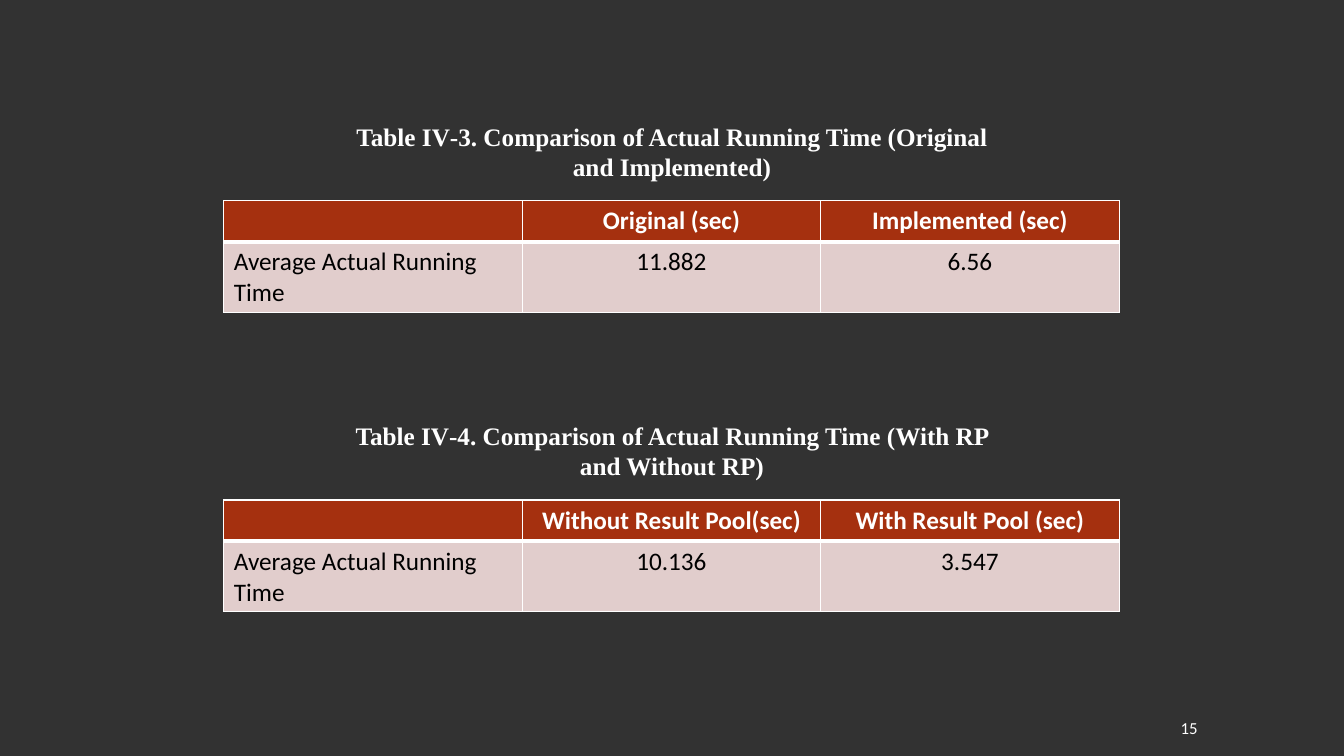
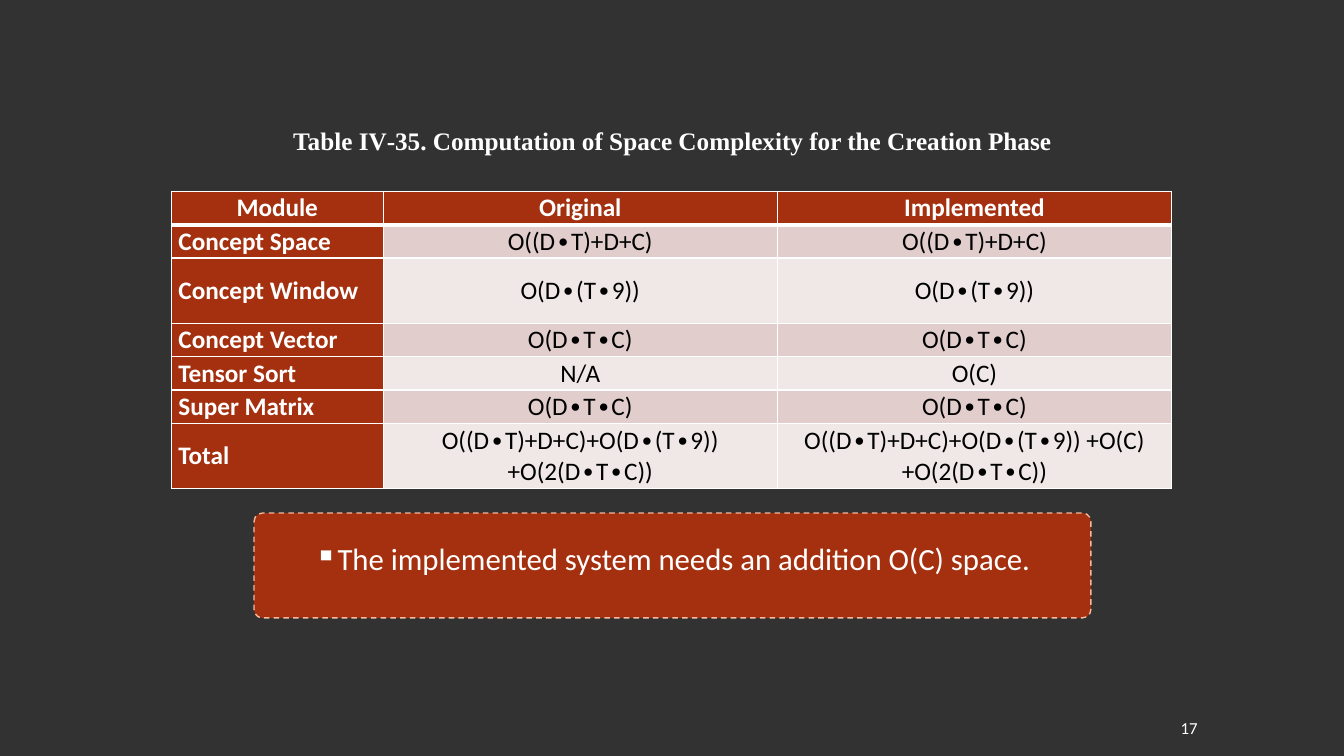
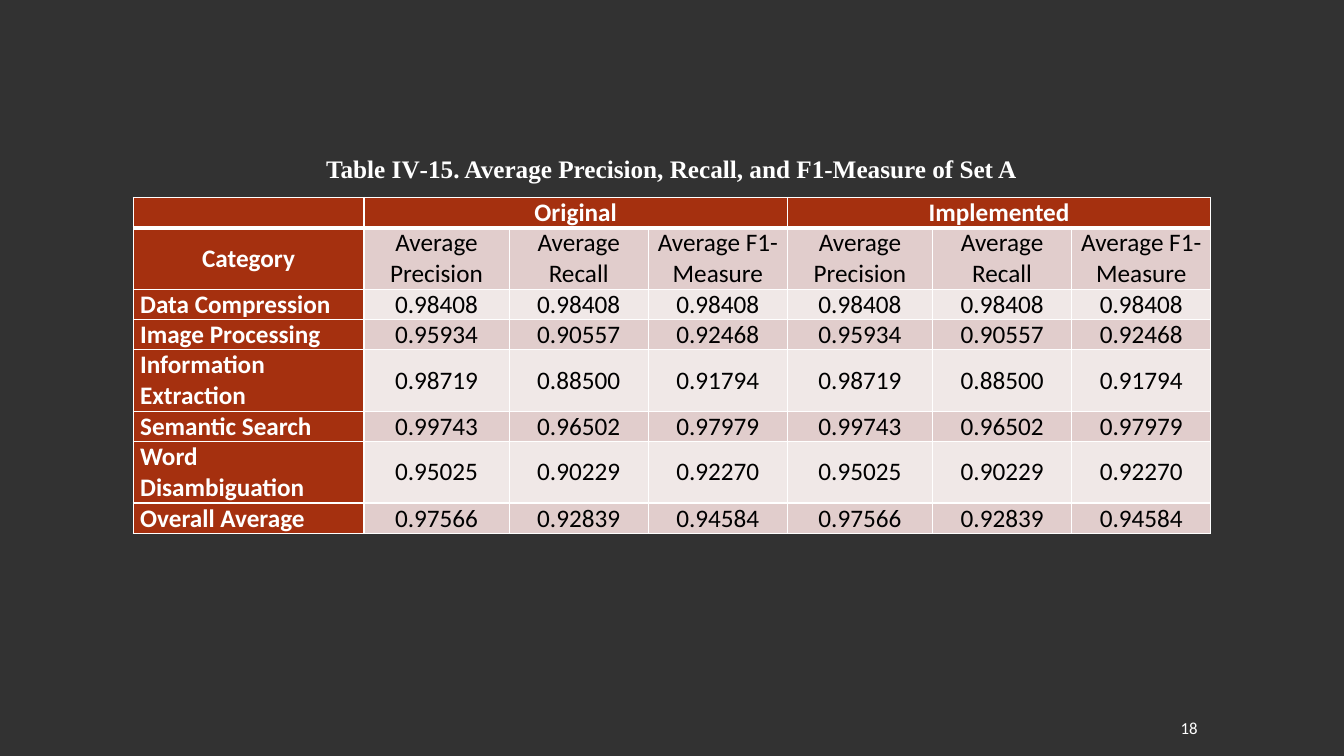
"""Build three slides of result tables on a dark background."""
from lxml.etree import SubElement
from pptx import Presentation
from pptx.dml.color import RGBColor
from pptx.enum.dml import MSO_LINE
from pptx.enum.shapes import MSO_SHAPE
from pptx.enum.text import MSO_ANCHOR, MSO_AUTO_SIZE, PP_ALIGN
from pptx.oxml.ns import qn
from pptx.util import Inches, Pt

DARK, WHITE, BLACK = "323232", "FFFFFF", "000000"
RUST, PEACH = "A5300F", "F5BA9B"
BANDS = ["E1CDCC", "F0E8E7"]
BODY, SERIF = "Calibri", "Times New Roman"

ROOMY = {"inset": (0.1, 0.05), "anchor": MSO_ANCHOR.TOP, "labels": False}
TIGHT = {"inset": (0.07, 0), "anchor": MSO_ANCHOR.MIDDLE, "labels": True}

MEASURES = ["Average Precision", "Average Recall", "Average F1-Measure"]
SCORES = [
    ("Data Compression", ["0.98408", "0.98408", "0.98408"]),
    ("Image Processing", ["0.95934", "0.90557", "0.92468"]),
    ("Information Extraction", ["0.98719", "0.88500", "0.91794"]),
    ("Semantic Search", ["0.99743", "0.96502", "0.97979"]),
    ("Word Disambiguation", ["0.95025", "0.90229", "0.92270"]),
    ("Overall Average", ["0.97566", "0.92839", "0.94584"]),
]

SLIDES = [
    {"page": "15", "tables": [
        {"title": "Table IV‑3. Comparison of Actual Running Time (Original and Implemented)",
         "box": (3.33, 1.15, 6.67, 0.71), "at": (2.22, 1.99),
         "cols": [2.96] * 3, "rows": [0.41, 0.7], "heads": 1, "look": ROOMY,
         "cells": [["", "Original (sec)", "Implemented (sec)"],
                   ["Average Actual Running Time", "11.882", "6.56"]]},
        {"title": "Table IV‑4. Comparison of Actual Running Time (With RP and Without RP)",
         "box": (3.33, 4.12, 6.67, 0.71), "at": (2.22, 4.96),
         "cols": [2.96] * 3, "rows": [0.41, 0.7], "heads": 1, "look": ROOMY,
         "cells": [["", "Without Result Pool(sec)", "With Result Pool (sec)"],
                   ["Average Actual Running Time", "10.136", "3.547"]]},
    ]},
    {"page": "17", "tables": [
        {"title": "Table IV‑35. Computation of Space Complexity for the Creation Phase",
         "box": (2.74, 1.19, 7.86, 0.4), "at": (1.7, 1.9),
         "cols": [2.1, 3.91, 3.91], "rows": [0.33, 0.33, 0.65, 0.33, 0.33, 0.33, 0.65],
         "heads": 1, "look": TIGHT,
         "cells": [["Module", "Original", "Implemented"],
                   ["Concept Space", "O((D∙T)+D+C)", "O((D∙T)+D+C)"],
                   ["Concept Window", "O(D∙(T∙9))", "O(D∙(T∙9))"],
                   ["Concept Vector", "O(D∙T∙C)", "O(D∙T∙C)"],
                   ["Tensor Sort", "N/A", "O(C)"],
                   ["Super Matrix", "O(D∙T∙C)", "O(D∙T∙C)"],
                   ["Total", "O((D∙T)+D+C)+O(D∙(T∙9)) +O(2(D∙T∙C))",
                    "O((D∙T)+D+C)+O(D∙(T∙9)) +O(C)+O(2(D∙T∙C))"]]},
    ], "note": "The implemented system needs an addition O(C) space."},
    {"page": "18", "tables": [
        {"title": "Table IV‑15. Average Precision, Recall, and F1-Measure of Set A",
         "box": (2.24, 1.47, 8.84, 0.4), "at": (1.32, 1.96),
         "cols": [2.29] + [1.44, 1.38, 1.38] * 2,
         "rows": [0.3, 0.61, 0.3, 0.3, 0.61, 0.3, 0.61, 0.3],
         "heads": 2, "look": TIGHT, "spans": [(1, 3), (4, 6)],
         "cells": [["", "Original", "", "", "Implemented", "", ""],
                   ["Category"] + MEASURES * 2]
                  + [[name] + marks * 2 for name, marks in SCORES]},
    ]},
]


def rgb(code):
    return RGBColor.from_string(code)


def paint(shape, code):
    shape.fill.solid()
    shape.fill.fore_color.rgb = rgb(code)


def write(frame, text, size, color, face=BODY, bold=False, align=PP_ALIGN.LEFT):
    frame.text = text
    frame.word_wrap = True
    para = frame.paragraphs[0]
    para.alignment = align
    font = para.font
    font.size, font.name, font.bold = Pt(size), face, bold
    font.color.rgb = rgb(color)
    return para


def add_box(slide, box):
    return slide.shapes.add_textbox(*map(Inches, box)).text_frame


def add_title(slide, text, box, first):
    if first:
        title = slide.shapes.title
        title.left, title.top, title.width, title.height = map(Inches, box)
        frame = title.text_frame
    else:
        frame = add_box(slide, box)
    frame.vertical_anchor = MSO_ANCHOR.TOP
    frame.auto_size = MSO_AUTO_SIZE.SHAPE_TO_FIT_TEXT
    write(frame, text, 18, WHITE, SERIF, True, PP_ALIGN.CENTER)


def add_edges(cell, row):
    props = cell._tc.get_or_add_tcPr()
    thick = {"T": 3 if row == 1 else 1, "B": 3 if row == 0 else 1}
    for side in "LRTB":
        line = SubElement(props, qn(f"a:ln{side}"), w=str(Pt(thick.get(side, 1))))
        fill = SubElement(line, qn("a:solidFill"))
        SubElement(fill, qn("a:srgbClr"), val=WHITE)


def add_grid(slide, data):
    cols, rows, look = data["cols"], data["rows"], data["look"]
    size = (*data["at"], sum(cols), sum(rows))
    grid = slide.shapes.add_table(len(rows), len(cols), *map(Inches, size)).table
    grid.first_row = grid.horz_banding = False
    for col, width in zip(grid.columns, cols):
        col.width = Inches(width)
    for row, height in zip(grid.rows, rows):
        row.height = Inches(height)
    side, edge = map(Inches, look["inset"])
    for r, line in enumerate(data["cells"]):
        for c, text in enumerate(line):
            cell = grid.cell(r, c)
            head = r == 0 or (c == 0 and look["labels"])
            mid = c > 0 or r < data["heads"]
            add_edges(cell, r)
            paint(cell, RUST if head else BANDS[(r - 1) % 2])
            cell.margin_left = cell.margin_right = side
            cell.margin_top = cell.margin_bottom = edge
            cell.vertical_anchor = look["anchor"]
            write(cell.text_frame, text, 18, WHITE if head else BLACK, bold=head,
                  align=PP_ALIGN.CENTER if mid else PP_ALIGN.LEFT)
    for start, end in data.get("spans", []):
        grid.cell(0, start).merge(grid.cell(0, end))


def add_note(slide, text):
    panel = slide.shapes.add_shape(MSO_SHAPE.ROUNDED_RECTANGLE,
                                   *map(Inches, (2.52, 5.09, 8.3, 1.04)))
    panel.adjustments[0] = 0.08
    panel.shadow.inherit = False
    paint(panel, RUST)
    panel.line.color.rgb = rgb(PEACH)
    panel.line.width = Pt(1)
    panel.line.dash_style = MSO_LINE.DASH
    para = write(add_box(slide, (2.95, 5.35, 7.44, 0.56)), text, 22, WHITE,
                 align=PP_ALIGN.CENTER)
    para.line_spacing = 0.9
    para.space_before, para.space_after = Pt(12), Pt(2)
    props = para._p.get_or_add_pPr()
    props.set("marL", str(Inches(0.2)))
    props.set("indent", str(Inches(-0.2)))
    bullet = props.makeelement(qn("a:buChar"), {"char": "▪"})
    props.find(qn("a:defRPr")).addprevious(bullet)


def add_page(slide, number):
    frame = add_box(slide, (11.66, 7.02, 1.03, 0.4))
    frame.margin_left = Inches(0.05)
    frame.vertical_anchor = MSO_ANCHOR.MIDDLE
    write(frame, number, 12, WHITE)


def main():
    deck = Presentation()
    deck.slide_width, deck.slide_height = Inches(13.33), Inches(7.5)
    paint(deck.slide_master.background, DARK)
    for data in SLIDES:
        slide = deck.slides.add_slide(deck.slide_layouts[5])
        add_page(slide, data["page"])
        for i, table in enumerate(data["tables"]):
            add_title(slide, table["title"], table["box"], i == 0)
            add_grid(slide, table)
        if "note" in data:
            add_note(slide, data["note"])
    deck.save("out.pptx")


if __name__ == "__main__":
    main()
